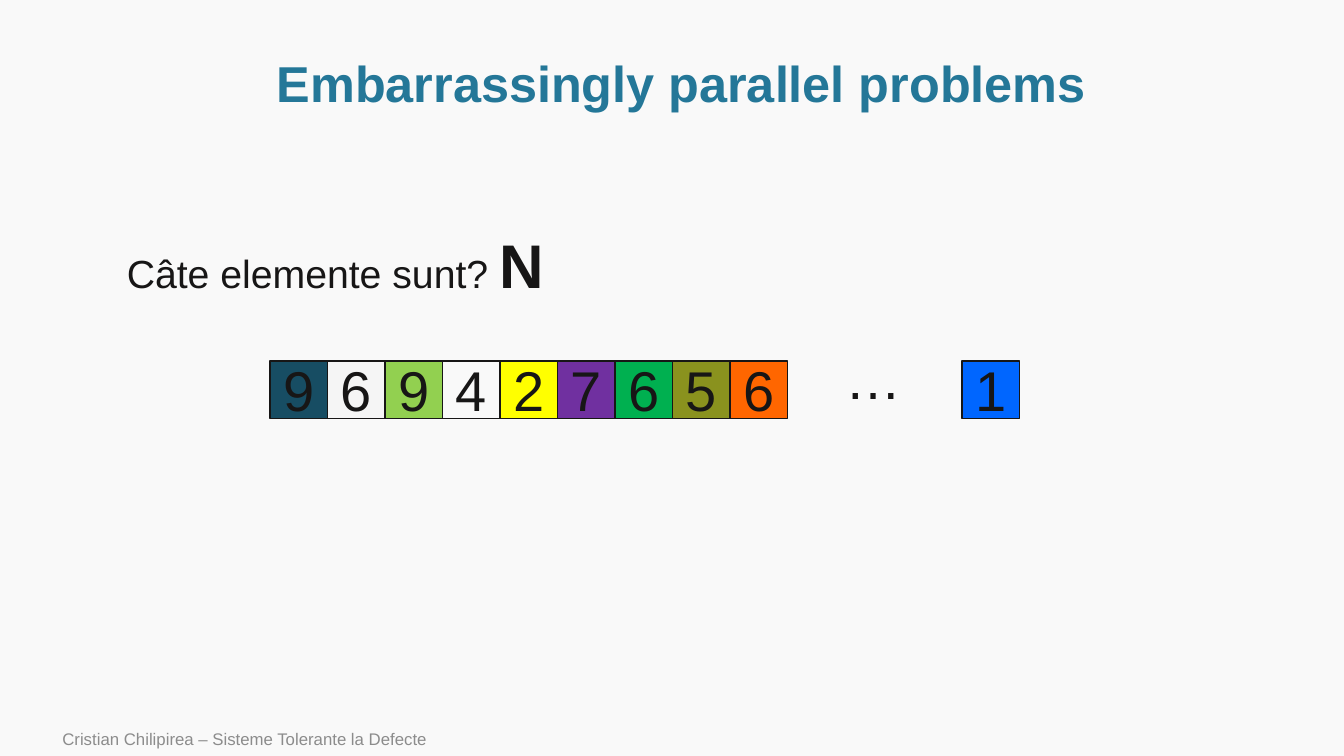
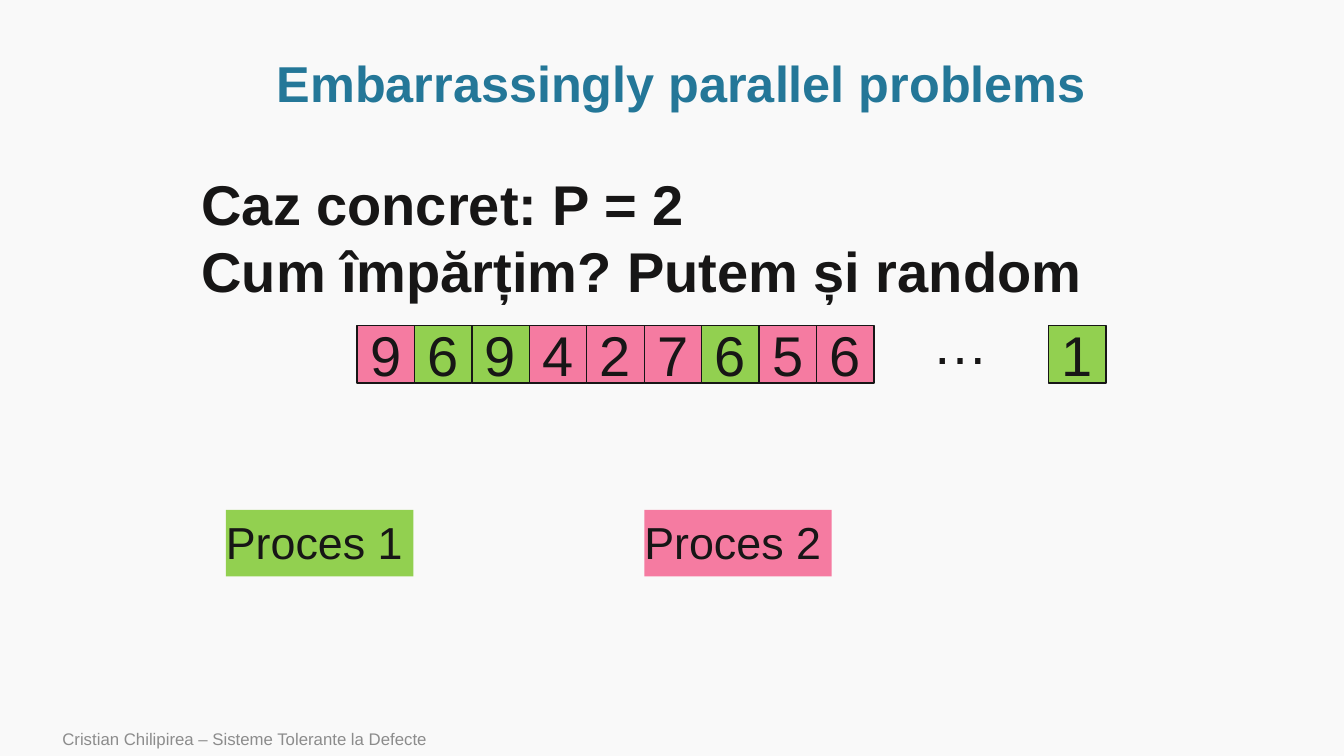
from dataclasses import dataclass
from typing import Optional

from pptx import Presentation
from pptx.dml.color import RGBColor
from pptx.enum.shapes import MSO_SHAPE
from pptx.enum.text import MSO_ANCHOR, MSO_AUTO_SIZE, PP_ALIGN
from pptx.util import Inches, Pt

FONT = "Arial"
BACKGROUND, INK, TITLE_COLOR, FOOTER_COLOR = "F9F9F9", "171616", "247798", "8C8C8C"
GREEN, PINK = "92D050", "F57BA1"

TITLE = "Embarrassingly parallel problems"
FOOTER = "Cristian Chilipirea – Sisteme Tolerante la Defecte"
DIGITS = "9694276561"
CELL = 0.57
LAST_CELL_OFFSET = 6.86
ELLIPSIS_OFFSET = (5.61, -0.22)


@dataclass(frozen=True)
class Run:
    text: str
    size: float
    color: str = INK
    bold: bool = False


@dataclass(frozen=True)
class Box:
    left: float
    top: float
    width: float
    height: float

    def lengths(self):
        return [Inches(v) for v in (self.left, self.top, self.width, self.height)]


def rgb(color: str) -> RGBColor:
    return RGBColor.from_string(color)


def write(frame, paragraphs: list[list[Run]], align=PP_ALIGN.LEFT,
          anchor=MSO_ANCHOR.TOP, line_spacing: Optional[float] = None) -> None:
    frame.vertical_anchor = anchor
    for index, runs in enumerate(paragraphs):
        paragraph = frame.add_paragraph() if index else frame.paragraphs[0]
        paragraph.alignment = align
        if line_spacing:
            paragraph.line_spacing = line_spacing
        for item in runs:
            run = paragraph.add_run()
            run.text = item.text
            run.font.name = FONT
            run.font.size = Pt(item.size)
            run.font.bold = item.bold
            run.font.color.rgb = rgb(item.color)


def add_text(slide, box: Box, paragraphs: list[list[Run]], wrap: bool = True,
             grow: bool = False, **style) -> None:
    frame = slide.shapes.add_textbox(*box.lengths()).text_frame
    frame.word_wrap = wrap
    frame.auto_size = MSO_AUTO_SIZE.SHAPE_TO_FIT_TEXT if grow else MSO_AUTO_SIZE.NONE
    write(frame, paragraphs, **style)


def add_rectangle(slide, box: Box, fill: Optional[str], outline: Optional[str] = None):
    """Draw a rectangle; a missing colour leaves that part unpainted."""
    shape = slide.shapes.add_shape(MSO_SHAPE.RECTANGLE, *box.lengths())
    shape.shadow.inherit = False
    if fill:
        shape.fill.solid()
        shape.fill.fore_color.rgb = rgb(fill)
    else:
        shape.fill.background()
    if outline:
        shape.line.color.rgb = rgb(outline)
        shape.line.width = Pt(1)
    else:
        shape.line.fill.background()
    return shape


def add_array(slide, left: float, top: float, fills: list[Optional[str]]) -> None:
    """Draw adjoining cells, an ellipsis and the detached last cell."""
    offsets = [i * CELL for i in range(len(DIGITS) - 1)] + [LAST_CELL_OFFSET]
    for digit, offset, fill in zip(DIGITS, offsets, fills):
        cell = add_rectangle(slide, Box(left + offset, top, CELL, CELL), fill, INK)
        write(cell.text_frame, [[Run(digit, 40)]], PP_ALIGN.CENTER, MSO_ANCHOR.MIDDLE)
    dx, dy = ELLIPSIS_OFFSET
    add_text(slide, Box(left + dx, top + dy, 0.76, 0.77), [[Run("…", 40)]],
             wrap=False, grow=True)


def add_process(slide, left: float, label: str, fill: str) -> None:
    tag = add_rectangle(slide, Box(left, 5.06, 1.86, 0.66), fill)
    tag.text_frame.margin_left = tag.text_frame.margin_right = Inches(0)
    write(tag.text_frame, [[Run(label, 32)]])


def add_base_slide(deck):
    slide = deck.slides.add_slide(deck.slide_layouts[6])
    slide.background.fill.solid()
    slide.background.fill.fore_color.rgb = rgb(BACKGROUND)
    add_text(slide, Box(0.52, 7.16, 8.4, 0.34), [[Run(FOOTER, 12, FOOTER_COLOR)]],
             anchor=MSO_ANCHOR.MIDDLE)
    add_text(slide, Box(1.01, 0.51, 11.5, 0.69), [[Run(TITLE, 36, TITLE_COLOR, True)]],
             align=PP_ALIGN.CENTER, anchor=MSO_ANCHOR.MIDDLE, line_spacing=0.9)
    return slide


def add_count_slide(deck) -> None:
    slide = add_base_slide(deck)
    add_array(slide, 2.68, 3.58, ["174D63", "F5F5F5", GREEN, None, "FFFF00",
                                  "7030A0", "00B050", "8A921E", "FF6600", "0066FF"])
    add_text(slide, Box(1.16, 2.2, 6.93, 0.84),
             [[Run("Câte elemente sunt? ", 28), Run("N", 44, bold=True)]], grow=True)


def add_random_split_slide(deck) -> None:
    slide = add_base_slide(deck)
    owners = "2112221221"
    process_fills = {"1": GREEN, "2": PINK}
    add_array(slide, 3.54, 3.23, [process_fills[owner] for owner in owners])
    lines = ("Caz concret: P = 2", "Cum împărțim? Putem și random")
    add_text(slide, Box(1.9, 1.63, 9.31, 1.45),
             [[Run(line, 40, bold=True)] for line in lines], grow=True)
    for left, (number, fill) in zip((2.24, 6.39), process_fills.items()):
        add_process(slide, left, f"Proces {number}", fill)


def main() -> None:
    deck = Presentation()
    deck.slide_width, deck.slide_height = Inches(13.33), Inches(7.5)
    add_count_slide(deck)
    add_random_split_slide(deck)
    deck.save("out.pptx")


if __name__ == "__main__":
    main()
